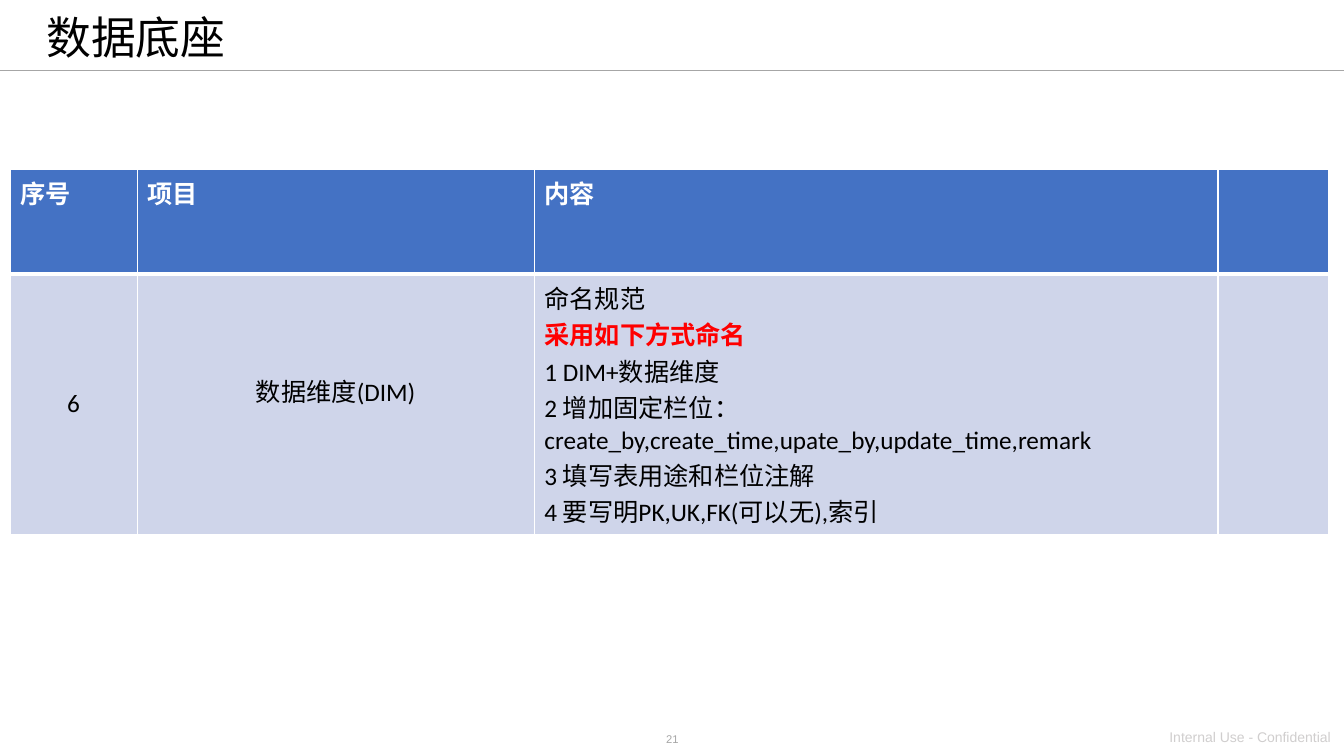
from lxml import etree
from pptx import Presentation
from pptx import util as u
from pptx.dml.color import RGBColor
from pptx.enum import shapes, text
from pptx.oxml import ns

BLACK = RGBColor(0x00, 0x00, 0x00)
WHITE = RGBColor(0xFF, 0xFF, 0xFF)
RED = RGBColor(0xFF, 0x00, 0x00)
GRAY = RGBColor(0xA6, 0xA6, 0xA6)
LIGHT_GRAY = RGBColor(0xD0, 0xCE, 0xCE)
HEADER_BLUE = RGBColor(0x44, 0x72, 0xC4)
BAND_BLUE = RGBColor(0xCF, 0xD5, 0xEA)

HEADERS = ["序号", "项目", "内容", ""]
RULES = [
    "命名规范",
    "采用如下方式命名",
    "1 DIM+数据维度",
    "2 增加固定栏位：create_by,create_time,upate_by,update_time,remark",
    "3 填写表用途和栏位注解",
    "4 要写明PK,UK,FK(可以无),索引",
]
HIGHLIGHTED_RULE = RULES[1]
COLUMN_WIDTHS = [1.26, 3.94, 6.78, 1.1]
ROW_HEIGHTS = [1.04, 2.58]


def write(paragraph, words, size=18, font="Calibri", color=BLACK, bold=False,
          align=text.PP_ALIGN.LEFT):
    paragraph.alignment = align
    run = paragraph.add_run()
    run.text = words
    run.font.size = u.Pt(size)
    run.font.name = font
    run.font.color.rgb = color
    run.font.bold = bold


def write_lines(frame, lines, highlight=None, **style):
    for index, line in enumerate(lines):
        paragraph = frame.add_paragraph() if index else frame.paragraphs[0]
        emphasis = {"color": RED, "bold": True} if line == highlight else {}
        write(paragraph, line, **{**style, **emphasis})


def add_label(slide, box, words, **style):
    shape = slide.shapes.add_textbox(*map(u.Inches, box))
    shape.text_frame.word_wrap = True
    write(shape.text_frame.paragraphs[0], words, **style)


def add_title(slide, box):
    title = slide.shapes.title
    title.left, title.top, title.width, title.height = map(u.Inches, box)
    frame = title.text_frame
    frame.auto_size = text.MSO_AUTO_SIZE.NONE
    frame.vertical_anchor = text.MSO_ANCHOR.MIDDLE
    frame.paragraphs[0].line_spacing = 0.9
    write(frame.paragraphs[0], "数据底座", size=32, font="Arial")


def add_divider(slide, left, top, width):
    line = slide.shapes.add_connector(
        shapes.MSO_CONNECTOR.STRAIGHT, u.Inches(left), u.Inches(top),
        u.Inches(left + width), u.Inches(top))
    line.line.color.rgb = GRAY
    line.line.width = u.Pt(1)
    etree.SubElement(line._element.spPr, ns.qn("a:effectLst"))


def add_borders(cell, **widths):
    properties = cell._tc.get_or_add_tcPr()
    for index, side in enumerate("LRTB"):
        border = etree.Element(ns.qn(f"a:ln{side}"), w=str(u.Pt(widths.get(side, 1))))
        fill = etree.SubElement(border, ns.qn("a:solidFill"))
        etree.SubElement(fill, ns.qn("a:srgbClr"), val=str(WHITE))
        properties.insert(index, border)


def add_rules_table(slide, left, top):
    table = slide.shapes.add_table(
        len(ROW_HEIGHTS), len(COLUMN_WIDTHS), u.Inches(left), u.Inches(top),
        u.Inches(sum(COLUMN_WIDTHS)), u.Inches(sum(ROW_HEIGHTS))).table
    for column, width in zip(table.columns, COLUMN_WIDTHS):
        column.width = u.Inches(width)
    for row, height in zip(table.rows, ROW_HEIGHTS):
        row.height = u.Inches(height)

    for index, header in enumerate(HEADERS):
        heading, body = table.cell(0, index), table.cell(1, index)
        for cell, color in ((heading, HEADER_BLUE), (body, BAND_BLUE)):
            cell.fill.solid()
            cell.fill.fore_color.rgb = color
        add_borders(heading, B=3)
        add_borders(body, T=3)
        if header:
            write_lines(heading.text_frame, [header], color=WHITE, bold=True)

    number, item, content = (table.cell(1, index) for index in range(3))
    for cell, words in ((number, "6"), (item, "数据维度(DIM)")):
        cell.vertical_anchor = text.MSO_ANCHOR.MIDDLE
        write_lines(cell.text_frame, [words], align=text.PP_ALIGN.CENTER)
    item.margin_bottom = u.Inches(0.32)
    write_lines(content.text_frame, RULES, highlight=HIGHLIGHTED_RULE)


def add_footer(slide, left, top):
    add_label(slide, (left + 5.79, top + 0.04, 1.76, 0.24), "21", size=8,
              font="Arial", color=GRAY, align=text.PP_ALIGN.CENTER)
    add_label(slide, (left + 11.5, top, 1.84, 0.27), "Internal Use - Confidential",
              size=10, font="Arial", color=LIGHT_GRAY)


def main():
    presentation = Presentation()
    presentation.slide_width = u.Inches(13.33)
    presentation.slide_height = u.Inches(7.5)
    slide = presentation.slides.add_slide(presentation.slide_layouts[5])
    add_divider(slide, 0, 0.7, 13.33)
    add_footer(slide, 0, 7.18)
    add_title(slide, (0.36, 0.06, 10.53, 0.68))
    add_rules_table(slide, 0.1, 1.68)
    presentation.save("out.pptx")


if __name__ == "__main__":
    main()
